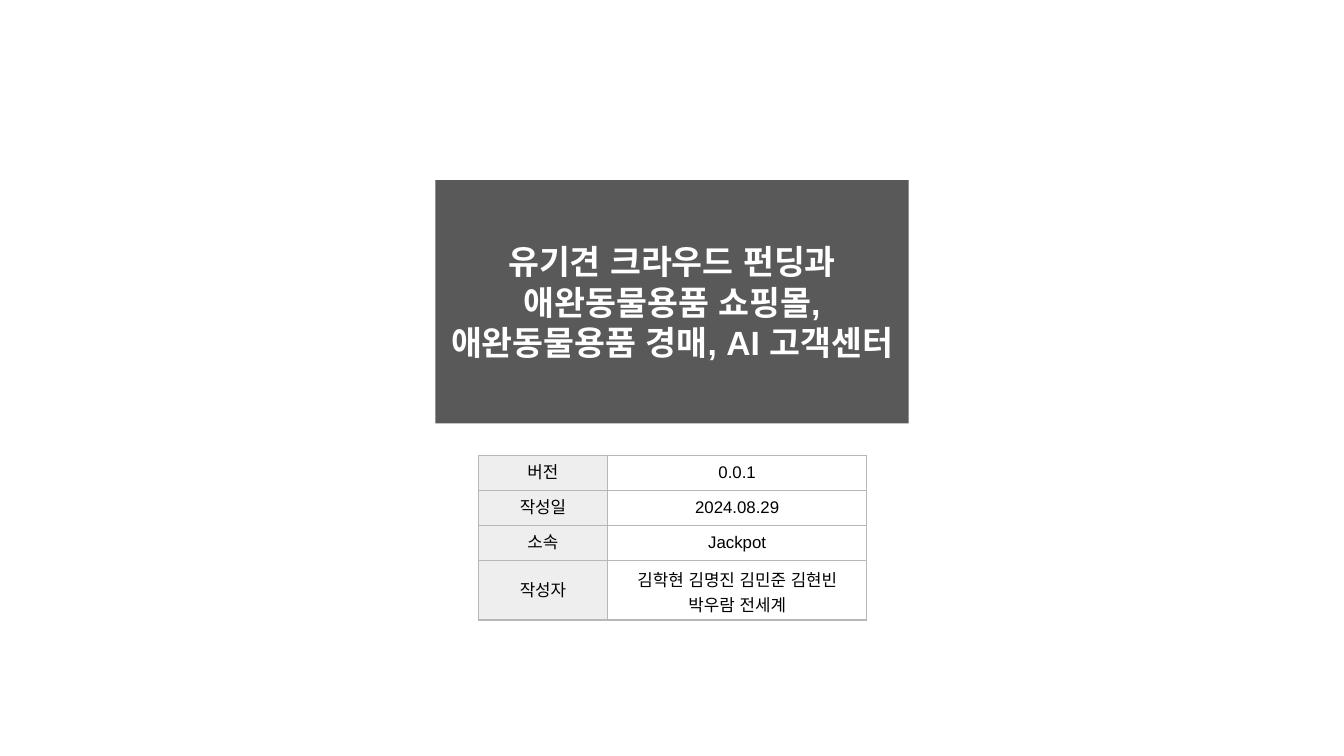
from typing import NamedTuple

import pptx
import pptx.dml.color
import pptx.enum.text
import pptx.oxml
import pptx.oxml.ns
import pptx.util
from pptx.util import Inches

FONT = "Arial"
qn = pptx.oxml.ns.qn


class InfoRow(NamedTuple):
    label: str
    value: str
    pad: float = 0
    spacing: float = 1.0


TITLE = "유기견 크라우드 펀딩과 애완동물용품 쇼핑몰, 애완동물용품 경매, AI 고객센터"
ROWS = [
    InfoRow("버전", "0.0.1"),
    InfoRow("작성일", "2024.08.29"),
    InfoRow("소속", "Jackpot"),
    InfoRow("작성자", "김학현 김명진 김민준 김현빈 박우람 전세계", 0.04, 1.3),
]
COL_WIDTHS = [0.96, 1.93]
ROW_HEIGHT = 0.26


def rgb(color: str) -> pptx.dml.color.RGBColor:
    return pptx.dml.color.RGBColor.from_string(color)


def set_fill(fill, color: str) -> None:
    fill.solid()
    fill.fore_color.rgb = rgb(color)


def write(tf, text: str, size: float, color: str, bold: bool = False,
          spacing: float = 1.0) -> None:
    """Put one centred run in the frame's first paragraph."""
    p = tf.paragraphs[0]
    p.alignment = pptx.enum.text.PP_ALIGN.CENTER
    p.line_spacing = spacing
    r = p.add_run()
    r.text = text
    r.font.name = FONT
    r.font.size = pptx.util.Pt(size)
    r.font.bold = bold
    r.font.color.rgb = rgb(color)
    ea = r.font._element.makeelement(qn("a:ea"), {"typeface": FONT})
    r.font._element.find(qn("a:latin")).addnext(ea)


def set_borders(cell, color: str, width: float) -> None:
    tc_pr = cell._tc.get_or_add_tcPr()
    for i, side in enumerate(("lnL", "lnR", "lnT", "lnB")):
        tc_pr.insert(i, pptx.oxml.parse_xml(
            f'<a:{side} {pptx.oxml.ns.nsdecls("a")} w="{pptx.util.Pt(width)}">'
            f'<a:solidFill><a:srgbClr val="{color}"/></a:solidFill></a:{side}>'))


def fill_cell(cell, text: str, color: str, pad: float = 0,
              spacing: float = 1.0) -> None:
    cell.margin_left = cell.margin_right = Inches(0.1)
    cell.margin_top = cell.margin_bottom = Inches(pad)
    cell.vertical_anchor = pptx.enum.text.MSO_ANCHOR.MIDDLE
    set_fill(cell.fill, color)
    set_borders(cell, "B7B7B7", 0.75)
    write(cell.text_frame, text, 9, "000000", spacing=spacing)


def add_title(s) -> None:
    sp = s.shapes.title
    sp.left, sp.top = Inches(3.24), Inches(1.34)
    sp.width, sp.height = Inches(3.52), Inches(1.81)
    set_fill(sp.fill, "595959")
    tf = sp.text_frame
    tf.word_wrap = True
    tf.auto_size = pptx.enum.text.MSO_AUTO_SIZE.NONE
    tf.vertical_anchor = pptx.enum.text.MSO_ANCHOR.MIDDLE
    tf.margin_left = tf.margin_right = Inches(0.1)
    tf.margin_top = tf.margin_bottom = Inches(0.1)
    write(tf, TITLE, 18, "FFFFFF", bold=True)


def add_info_table(s, rows: list[InfoRow]) -> None:
    table = s.shapes.add_table(
        len(rows), len(COL_WIDTHS), Inches(3.56), Inches(3.39),
        Inches(sum(COL_WIDTHS)), Inches(ROW_HEIGHT * len(rows))).table
    table.first_row = table.horz_banding = False
    for col, width in zip(table.columns, COL_WIDTHS):
        col.width = Inches(width)
    for i, row in enumerate(rows):
        table.rows[i].height = Inches(ROW_HEIGHT)
        fill_cell(table.cell(i, 0), row.label, "EEEEEE")
        fill_cell(table.cell(i, 1), row.value, "FFFFFF", row.pad, row.spacing)


def main() -> None:
    prs = pptx.Presentation()
    prs.slide_width = Inches(10)
    prs.slide_height = Inches(10 * 9 / 16)
    s = prs.slides.add_slide(prs.slide_layouts[5])
    add_title(s)
    add_info_table(s, ROWS)
    prs.save("out.pptx")


if __name__ == "__main__":
    main()
